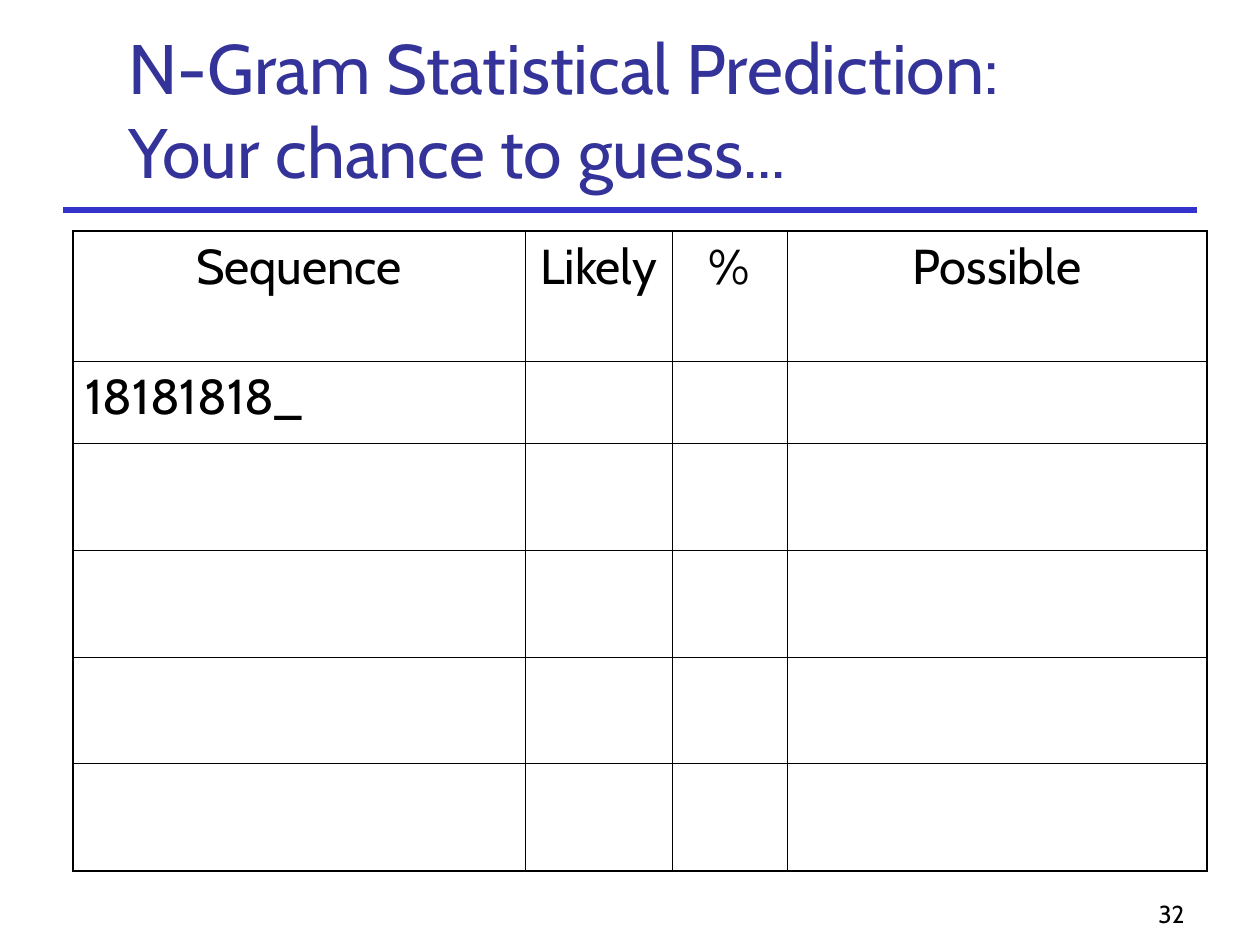
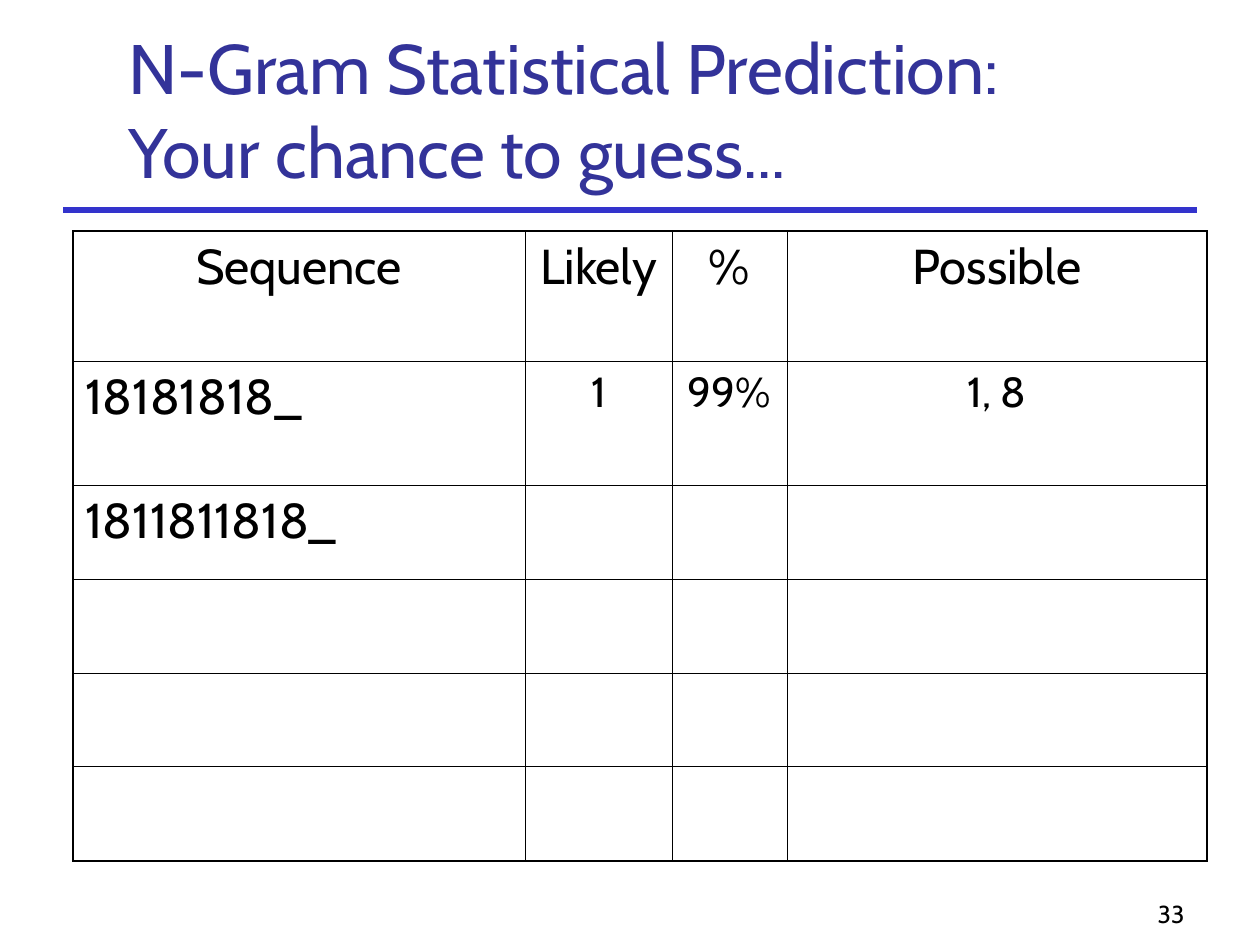
from lxml import etree
from pptx import Presentation
from pptx.dml.color import RGBColor
from pptx.enum.shapes import MSO_CONNECTOR
from pptx.enum.text import MSO_ANCHOR, MSO_AUTO_SIZE, PP_ALIGN
from pptx.oxml.ns import qn
from pptx.util import Emu, Pt

LEFT, CENTER, RIGHT = PP_ALIGN.LEFT, PP_ALIGN.CENTER, PP_ALIGN.RIGHT
TOP, BOTTOM = MSO_ANCHOR.TOP, MSO_ANCHOR.BOTTOM
STRAIGHT = MSO_CONNECTOR.STRAIGHT
NO_AUTOFIT = MSO_AUTO_SIZE.NONE

PX = 914400 / 126
FONT = "Cabin"
TITLE_COLOR, RULE_COLOR, BLACK = "333399", "3333CC", "000000"
INNER_BORDER, OUTER_BORDER = 0.45, 1.08

TITLE = "N-Gram Statistical Prediction:\vYour chance to guess..."
HEADINGS = ["Sequence", "Likely", "%", "Possible"]
COLUMN_WIDTHS = [452, 147, 115, 420]
TABLE_LEFT, TABLE_TOP = 73, 231
SLIDES = [
    {
        "number": "32",
        "row_heights": [130, 82] + [107] * 4,
        "guesses": [["18181818_"]],
    },
    {
        "number": "33",
        "row_heights": [130, 124] + [94] * 4,
        "guesses": [["18181818_", "1", "99%", "1, 8"], ["1811811818_"]],
    },
]


def px(*lengths):
    """Turn lengths in px into a list of EMU."""
    return [Emu(round(length * PX)) for length in lengths]


def write_text(frame, text, size, color=BLACK, align=LEFT, anchor=TOP):
    frame.word_wrap = True
    frame.vertical_anchor = anchor
    paragraph = frame.paragraphs[0]
    paragraph.text = text
    paragraph.alignment = align
    for run in paragraph.runs:
        run.font.name = FONT
        run.font.size = Pt(size)
        run.font.color.rgb = RGBColor.from_string(color)


presentation = Presentation()
presentation.slide_width, presentation.slide_height = px(1260, 945)
title_only = presentation.slide_layouts[5]

for content in SLIDES:
    slide = presentation.slides.add_slide(title_only)

    # Rule under the title
    rule = slide.shapes.add_connector(STRAIGHT, *px(63, 210, 1197, 210))
    rule.line.color.rgb = RGBColor.from_string(RULE_COLOR)
    rule.line.width = Pt(3)
    etree.SubElement(rule._element.spPr, qn("a:effectLst"))

    # Slide number
    number = slide.shapes.add_textbox(*px(935, 872, 262, 63))
    write_text(number.text_frame, content["number"], 14, align=RIGHT, anchor=BOTTOM)

    # Title
    title = slide.shapes.title
    title.left, title.top, title.width, title.height = px(116, 42, 1073, 157)
    title.text_frame.auto_size = NO_AUTOFIT
    write_text(title.text_frame, TITLE, 40, color=TITLE_COLOR, anchor=BOTTOM)

    # Guessing table
    heights = content["row_heights"]
    last_row, last_column = len(heights) - 1, len(COLUMN_WIDTHS) - 1
    table = slide.shapes.add_table(
        len(heights), len(COLUMN_WIDTHS),
        *px(TABLE_LEFT, TABLE_TOP, sum(COLUMN_WIDTHS), sum(heights)),
    ).table
    table.first_row = table.horz_banding = False
    for column, width in zip(table.columns, px(*COLUMN_WIDTHS)):
        column.width = width
    for row, height in zip(table.rows, px(*heights)):
        row.height = height

    texts = [HEADINGS] + content["guesses"]
    for row_index, row in enumerate(table.rows):
        for column_index, cell in enumerate(row.cells):
            outer_edges = {
                "a:lnL": column_index == 0,
                "a:lnR": column_index == last_column,
                "a:lnT": row_index == 0,
                "a:lnB": row_index == last_row,
            }
            properties = cell._tc.get_or_add_tcPr()
            for edge, is_outer in outer_edges.items():
                width = Pt(OUTER_BORDER if is_outer else INNER_BORDER)
                border = etree.SubElement(properties, qn(edge), w=str(width))
                fill = etree.SubElement(border, qn("a:solidFill"))
                etree.SubElement(fill, qn("a:srgbClr"), val=BLACK)
            cell.fill.background()

            if row_index < len(texts) and column_index < len(texts[row_index]):
                is_guess = row_index > 0 and column_index > 0
                is_sequence = row_index > 0 and column_index == 0
                write_text(
                    cell.text_frame, texts[row_index][column_index],
                    24 if is_guess else 28,
                    align=LEFT if is_sequence else CENTER,
                )

presentation.save("out.pptx")
